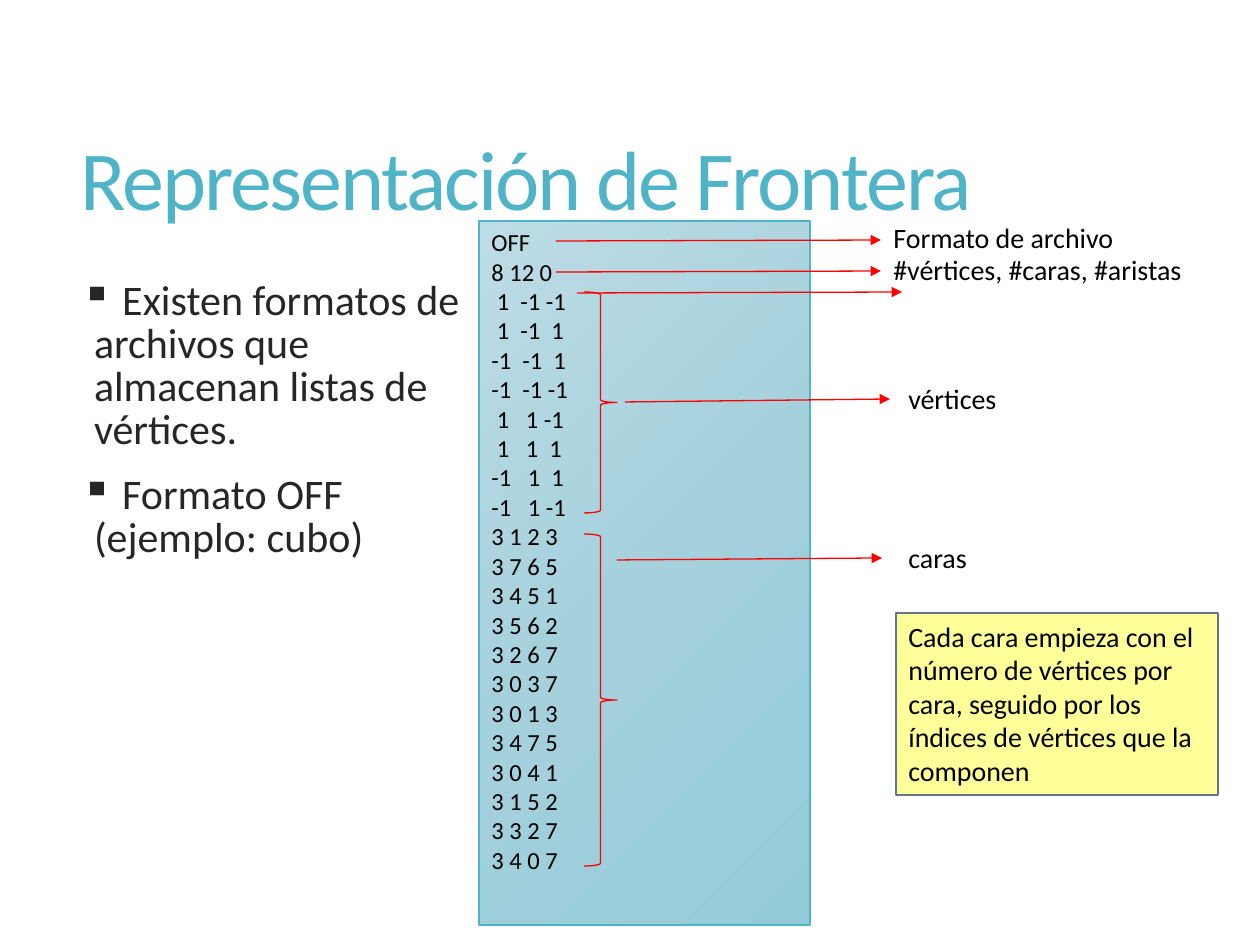
"""Build the slide on boundary representation and the OFF file format."""
import copy

import pptx
import pptx.dml.color
import pptx.enum.shapes
import pptx.enum.text
import pptx.oxml
import pptx.oxml.ns
import pptx.util

PX = 914400 / 126
SHAPE = pptx.enum.shapes.MSO_SHAPE
qn = pptx.oxml.ns.qn


def color(value):
    return pptx.dml.color.RGBColor.from_string(value)


def write(sp, lines, size, fill="000000", wrap=True):
    tf = sp.text_frame
    tf.word_wrap = wrap
    tf.text = "\n".join(lines)
    for p in tf.paragraphs:
        p.alignment = pptx.enum.text.PP_ALIGN.LEFT
        p.font.name = "Calibri"
        p.font.size = pptx.util.Pt(size)
        p.font.color.rgb = color(fill)
    return tf


prs = pptx.Presentation()
prs.slide_width, prs.slide_height = round(1260 * PX), round(945 * PX)
s = prs.slides.add_slide(prs.slide_layouts[6])

sp = s.shapes.add_textbox(*[round(v * PX) for v in (68, 69, 1114, 228)])
tf = write(sp, ["Representación de Frontera"], 48, "50B4C8")
tf.vertical_anchor = pptx.enum.text.MSO_ANCHOR.MIDDLE
p = tf.paragraphs[0]
p.line_spacing = 0.9
p.runs[0]._r.get_or_add_rPr().set("spc", "-120")

sp = s.shapes.add_textbox(*[round(v * PX) for v in (69, 275, 436, 519)])
tf = write(sp, [" Existen formatos de archivos que almacenan listas de vértices.",
                " Formato OFF (ejemplo: cubo)"], 24, "262626")
for p in tf.paragraphs:
    p.line_spacing = 0.85
    p.space_before = pptx.util.Pt(13)
    pPr = p._p.get_or_add_pPr()
    pPr.set("marL", "91440")
    pPr.set("indent", "-91440")
    bullet = pptx.oxml.parse_xml(f'<a:buChar {pptx.oxml.ns.nsdecls("a")} char="▪"/>')
    pPr.find(qn("a:defRPr")).addprevious(bullet)

off_lines = [
    "OFF", "8 12 0",
    " 1  -1 -1", " 1  -1  1", "-1  -1  1", "-1  -1 -1",
    " 1   1 -1", " 1   1  1", "-1   1  1", "-1   1 -1",
    "3 1 2 3", "3 7 6 5", "3 4 5 1", "3 5 6 2", "3 2 6 7", "3 0 3 7",
    "3 0 1 3", "3 4 7 5", "3 0 4 1", "3 1 5 2", "3 3 2 7", "3 4 0 7",
]
note = ["Cada cara empieza con el número de vértices por cara, "
        "seguido por los índices de vértices que la componen"]
for box, lines, size, line, width in [
    ((479, 221, 331, 704), off_lines, 14, "50B4C8", 0.75),
    ((896, 613, 322, 182), note, 16, "657689", 1),
]:
    sp = s.shapes.add_shape(SHAPE.RECTANGLE, *[round(v * PX) for v in box])
    sp.shadow.inherit = False
    sp.line.color.rgb = color(line)
    sp.line.width = pptx.util.Pt(width)
    tf = write(sp, lines, size)
    tf.vertical_anchor = pptx.enum.text.MSO_ANCHOR.TOP
    if lines is note:
        sp.fill.solid()
        sp.fill.fore_color.rgb = color("FFFF99")
    else:
        sp.fill.gradient()
        sp.fill.gradient_angle = 315
        stops = sp._element.spPr.find(".//" + qn("a:gsLst"))
        stops.insert(1, copy.deepcopy(stops[0]))
        for stop, position, value in zip(sp.fill.gradient_stops, (0, 0.5, 1),
                                         ("BDDCE5", "A5D1DD", "94CBD9")):
            stop.position = position
            stop.color.rgb = color(value)

for x, y, w, label in [
    (881, 214, 246, "Formato de archivo"),
    (881, 246, 314, "#vértices, #caras, #aristas"),
    (896, 375, 113, "vértices"),
    (896, 534, 84, "caras"),
]:
    sp = s.shapes.add_textbox(*[round(v * PX) for v in (x, y, w, 47)])
    write(sp, [label], 16, wrap=False)

for y, h in [(292, 221), (534, 332)]:
    sp = s.shapes.add_shape(SHAPE.RIGHT_BRACE, *[round(v * PX) for v in (584, y, 33, h)])
    sp.shadow.inherit = False
    sp.fill.background()
    sp.line.color.rgb = color("FF0000")
    sp.line.width = pptx.util.Pt(0.75)

for ends in [
    (556, 241, 881, 240),
    (556, 272, 881, 271),
    (577, 293, 902, 292),
    (625, 402, 890, 399),
    (617, 560, 882, 558),
]:
    sp = s.shapes.add_connector(pptx.enum.shapes.MSO_CONNECTOR.STRAIGHT,
                                *[round(v * PX) for v in ends])
    sp.line.color.rgb = color("FF0000")
    sp.line.width = pptx.util.Pt(0.75)
    ln = sp.line._get_or_add_ln()
    ln.append(pptx.oxml.parse_xml(f'<a:tailEnd {pptx.oxml.ns.nsdecls("a")} type="triangle"/>'))
    ln.addnext(pptx.oxml.parse_xml(f'<a:effectLst {pptx.oxml.ns.nsdecls("a")}/>'))

prs.save("out.pptx")
